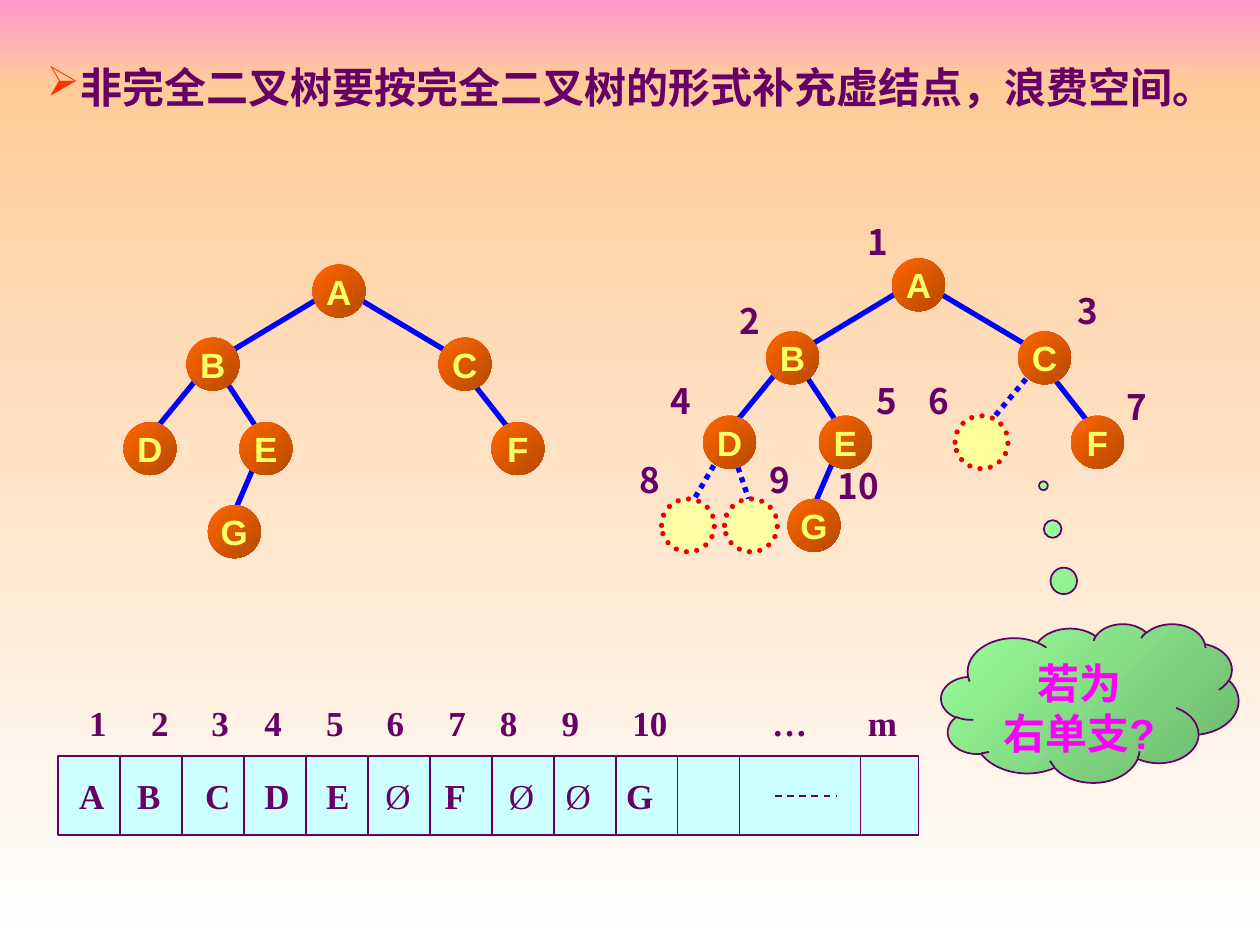
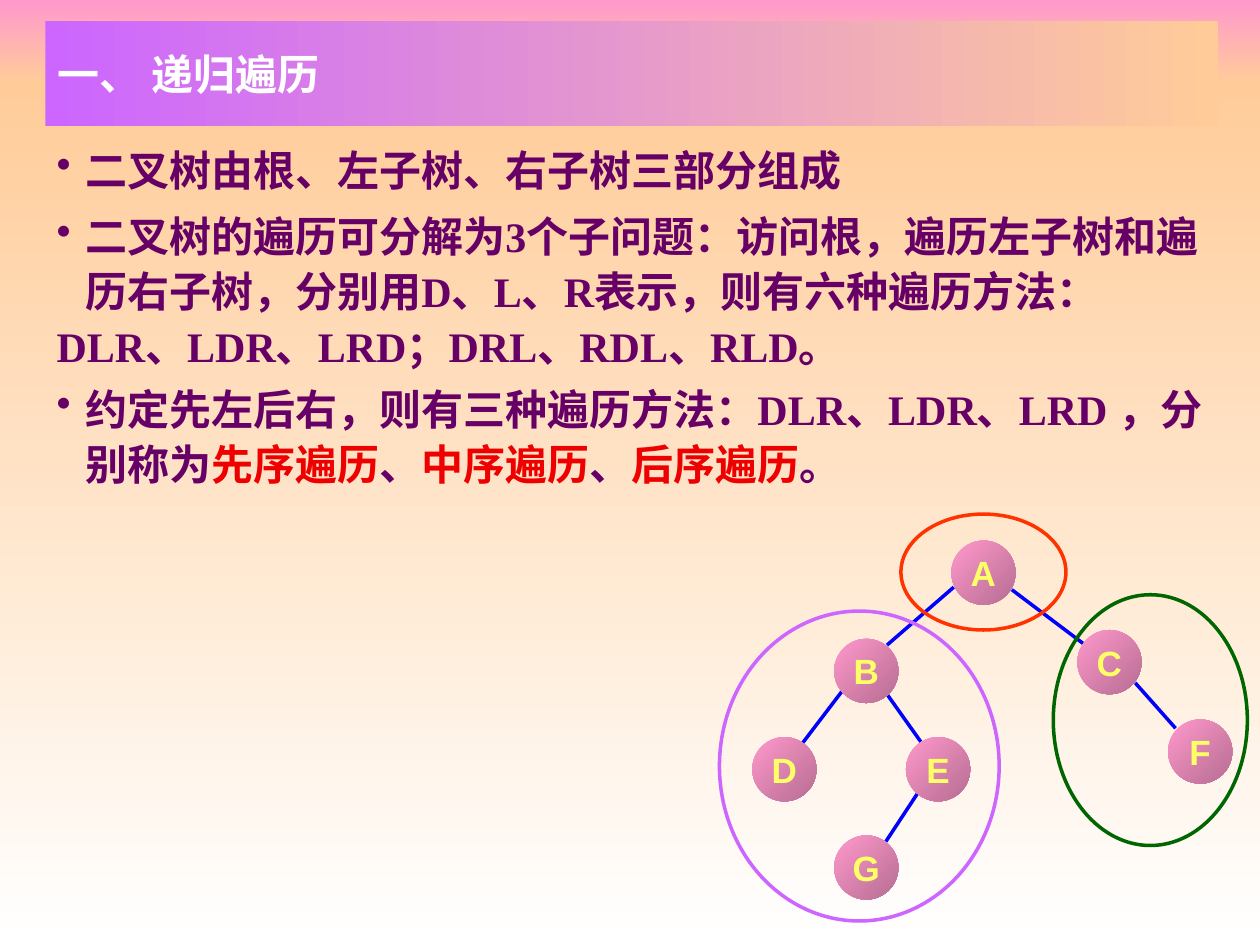
from lxml import etree
from pptx import Presentation
from pptx import util as u
from pptx.dml.color import RGBColor
from pptx.enum import dml, shapes, text as t
from pptx.oxml.ns import qn

PURPLE, RED, BLUE, YELLOW = "660066", "EE0000", "0000FF", "FFFF66"
PINK, PEACH, WHITE = "FF99CC", "FFCC99", "FFFFFF"
CJK_FONT, LATIN_FONT, SERIF_FONT = "Noto Sans CJK SC", "Arial", "Times New Roman"
OVAL, RECTANGLE = shapes.MSO_SHAPE.OVAL, shapes.MSO_SHAPE.RECTANGLE
DOTS, DASHES = dml.MSO_LINE.ROUND_DOT, dml.MSO_LINE.DASH
LEFT, CENTER = t.PP_ALIGN.LEFT, t.PP_ALIGN.CENTER
NODE_FONT = dict(size=20, colour=YELLOW, font=LATIN_FONT)
SERIF_SMALL = dict(size=20, font=SERIF_FONT, align=LEFT)


def paint(fill, *colours, angle=0):
    """Fill with one colour, or with a gradient of two at a clockwise angle."""
    if len(colours) == 1:
        fill.solid()
        fill.fore_color.rgb = RGBColor.from_string(colours[0])
        return
    fill.gradient()
    fill.gradient_angle = (360 - angle) % 360
    for stop, colour in zip(fill.gradient_stops, colours):
        stop.color.rgb = RGBColor.from_string(colour)


def write(shape, content, size=24, colour=PURPLE, font=CJK_FONT, align=CENTER,
          wrap=True, anchor=t.MSO_ANCHOR.MIDDLE, spacing=None):
    """Write bold paragraphs, one a line; "|" starts a new run."""
    frame = shape.text_frame
    frame.auto_size = t.MSO_AUTO_SIZE.NONE
    frame.word_wrap = wrap
    frame.vertical_anchor = anchor
    frame.text = content.replace("|", "")
    for paragraph, line in zip(frame.paragraphs, content.split("\n")):
        paragraph.alignment = align
        if spacing:
            paragraph.line_spacing = u.Pt(spacing)
        parts = line.split("|")
        paragraph.runs[0].text = parts[0]
        for part in parts[1:]:
            paragraph.add_run().text = part
        for run in paragraph.runs:
            run.font.size = u.Pt(size)
            run.font.bold = True
            run.font.name = font
            paint(run.font.fill, colour)
            east_asian = etree.SubElement(run._r.get_or_add_rPr(), qn("a:ea"))
            east_asian.set("typeface", CJK_FONT)


presentation = Presentation()
presentation.slide_width, presentation.slide_height = u.Inches(10), u.Inches(7.5)
title_only = presentation.slide_layouts[5]
storage_slide = presentation.slides.add_slide(title_only)
traversal_slide = presentation.slides.add_slide(title_only)

# Background bands, kept on the master
first_master_shape = presentation.slide_master.shapes[0]
for top, height, colours in [(0, 0.67, (PINK, PEACH)), (0.67, 6.83, (PEACH, WHITE))]:
    band = storage_slide.shapes.add_shape(
        RECTANGLE, 0, u.Inches(top), presentation.slide_width, u.Inches(height))
    band.shadow.inherit = False
    band.line.fill.background()
    paint(band.fill, *colours, angle=90)
    first_master_shape.element.addprevious(band.element)

# Titles
for slide, box, content, colour in [
    (storage_slide, (0.27, 0.44, 9.53, 0.5),
     "非完全二叉树要按完全二叉树的形式补充虚结点，浪费空间。", PURPLE),
    (traversal_slide, (0.36, 0.17, 9.31, 0.83), "一、 递归遍历", WHITE),
]:
    title = slide.shapes.title
    title.left, title.top, title.width, title.height = map(u.Inches, box)
    write(title, content, colour=colour, align=LEFT)
paint(traversal_slide.shapes.title.fill, "CC66FF", PEACH)
bullets = [(storage_slide.shapes.title.text_frame.paragraphs[0], "➢", "FF3300", 0.27)]

# Storage array
ARRAY_LEFT, ARRAY_TOP, ARRAY_BOTTOM, CELL = 0.46, 6, 6.63, 0.49182
array = storage_slide.shapes.add_shape(
    RECTANGLE, *map(u.Inches, (ARRAY_LEFT, ARRAY_TOP, 6.83, ARRAY_BOTTOM - ARRAY_TOP)))
array.shadow.inherit = False
paint(array.fill, "CCFFFF")
paint(array.line.fill, PURPLE)
array.line.width = u.Pt(1)

dividers = [ARRAY_LEFT + CELL * i for i in range(1, 12)] + [6.83]
lines = [(storage_slide, x, ARRAY_TOP, x, ARRAY_BOTTOM, PURPLE, 1, None) for x in dividers]
lines.append((storage_slide, 6.15, 6.32, 6.64, 6.32, PURPLE, 1, DASHES))

array_rows = [
    ((0.61, 5.52, 6.68, 0.43), "1\t2\t3\t4\t5\t6\t7\t8\t9\t10\t…\tm",
     (0.49, 0.97, 1.39, 1.88, 2.36, 2.85, 3.26, 3.75, 4.31, 5.42, 6.18)),
    ((0.53, 6.1, 6.78, 0.43), "A\tB\tC\tD\tE\t|Ø|\tF\t|Ø\tØ|\tG",
     (0.46, 1, 1.47, 1.96, 2.43, 2.9, 3.41, 3.86, 4.34)),
]
for box, content, tabs in array_rows:
    row = storage_slide.shapes.add_textbox(*map(u.Inches, box))
    write(row, content, **SERIF_SMALL)
    paragraph = row.text_frame.paragraphs[0]
    for run in paragraph.runs[1::2]:
        run.font.bold = False
    tab_list = etree.SubElement(paragraph._p.get_or_add_pPr(), qn("a:tabLst"))
    for position in tabs:
        etree.SubElement(tab_list, qn("a:tab"), pos=str(u.Inches(position)), algn="l")

# Trees: the left one on the storage slide is the right one, shifted
storage_nodes = {"A": (7.08, 2.05), "B": (6.08, 2.63), "C": (8.08, 2.63), "D": (5.58, 3.3),
                 "E": (6.5, 3.3), "F": (8.5, 3.3), "G": (6.25, 3.96)}
storage_edges = [(7.16, 2.3, 6.33, 2.8), (7.41, 2.3, 8.25, 2.8), (6.16, 2.96, 5.75, 3.46),
                 (6.33, 2.88, 6.66, 3.38), (8.33, 2.96, 8.66, 3.38), (6.66, 3.55, 6.41, 4.13)]
traversal_nodes = {"A": (7.55, 4.29), "B": (6.62, 5.07), "C": (8.55, 5), "D": (5.97, 5.85),
                   "E": (7.19, 5.85), "F": (9.27, 5.71), "G": (6.62, 6.63)}
traversal_edges = [(7.57, 4.66, 7.04, 5.12), (8.03, 4.68, 8.6, 5.11), (7.04, 5.51, 7.31, 5.89),
                   (7.28, 6.3, 7.03, 6.68), (6.68, 5.49, 6.36, 5.91), (9.01, 5.42, 9.33, 5.78)]
virtual_edges = [(8.25, 2.88, 7.83, 3.38), (5.83, 3.63, 6, 4.13), (5.75, 3.55, 5.41, 4.13)]
ORANGE_BALL, PINK_BALL = ("FF6600", "B64900"), (PINK, "B66D92")
trees = [
    (storage_slide, -4.6, 0.05, 0.42, ORANGE_BALL, 3, storage_nodes, storage_edges),
    (storage_slide, 0, 0, 0.42, ORANGE_BALL, 3, storage_nodes, storage_edges),
    (traversal_slide, 0, 0, 0.51, PINK_BALL, 2, traversal_nodes, traversal_edges),
]
for slide, dx, dy, _, _, width, _, edges in trees:
    lines += [(slide, x1 + dx, y1 + dy, x2 + dx, y2 + dy, BLUE, width, None)
              for x1, y1, x2, y2 in edges]
lines += [(storage_slide, *edge, BLUE, 3, DOTS) for edge in virtual_edges]

for slide, x1, y1, x2, y2, colour, width, dash in lines:
    connector = slide.shapes.add_connector(
        shapes.MSO_CONNECTOR.STRAIGHT, *map(u.Inches, (x1, y1, x2, y2)))
    paint(connector.line.fill, colour)
    connector.line.width = u.Pt(width)
    if dash:
        connector.line.dash_style = dash
    etree.SubElement(connector._element.spPr, qn("a:effectLst"))

for slide, dx, dy, size, colours, _, nodes, _ in trees:
    for letter, (x, y) in nodes.items():
        node = slide.shapes.add_shape(OVAL, *map(u.Inches, (x + dx, y + dy, size, size)))
        node.shadow.inherit = False
        node.line.fill.background()
        paint(node.fill, *colours, angle=45)
        write(node, letter, wrap=False, **NODE_FONT)

# Virtual nodes and the ovals round root and subtrees
rings = [
    (storage_slide, (5.25, 3.96, 0.42, 0.42), "FFFFA5", RED, 3, DOTS),
    (storage_slide, (5.75, 3.96, 0.42, 0.42), "FFFFA5", RED, 3, DOTS),
    (storage_slide, (7.58, 3.3, 0.42, 0.42), "FFFF99", RED, 3, DOTS),
    (traversal_slide, (5.71, 4.85, 2.22, 2.46), None, "CC66FF", 2, None),
    (traversal_slide, (8.36, 4.72, 1.54, 1.99), None, "006600", 2, None),
    (traversal_slide, (7.15, 4.08, 1.31, 0.92), None, "FF3300", 2, None),
]
for slide, box, fill_colour, line_colour, width, dash in rings:
    ring = slide.shapes.add_shape(OVAL, *map(u.Inches, box))
    ring.shadow.inherit = False
    if fill_colour:
        paint(ring.fill, fill_colour)
    else:
        ring.fill.background()
    paint(ring.line.fill, line_colour)
    ring.line.width = u.Pt(width)
    if dash:
        ring.line.dash_style = dash
        ring.line._get_or_add_ln().set("cap", "rnd")

# Node numbers
number_places = [(6.65, 1.7), (5.63, 2.33), (8.31, 2.25), (5.08, 2.96), (6.72, 2.96),
                 (7.13, 2.96), (8.7, 3.01), (4.84, 3.59), (5.87, 3.59), (6.49, 3.64)]
for number, (x, y) in enumerate(number_places, start=1):
    label = storage_slide.shapes.add_textbox(*map(u.Inches, (x, y, 0.64, 0.43)))
    write(label, str(number), size=20)

# Question cloud
cloud = storage_slide.shapes.add_shape(
    shapes.MSO_SHAPE.CLOUD_CALLOUT, *map(u.Inches, (7.47, 4.95, 2.36, 1.26)))
cloud.shadow.inherit = False
cloud.adjustments[0], cloud.adjustments[1] = -0.156, -1.369
paint(cloud.fill, "99FF99", "6DB66D", angle=45)
paint(cloud.line.fill, PURPLE)
cloud.line.width = u.Pt(1)
write(cloud, "若为\n右单支?", colour="FF00FF", font=LATIN_FONT,
      anchor=t.MSO_ANCHOR.TOP, spacing=28.6)
cloud.text_frame.margin_top = u.Inches(0.08)

# Traversal text
for box, spacing, content in [
    ((0.35, 0.98, 6.69, 0.62), 37, "二叉树由根、左子树、右子树三部分组成"),
    ((0.35, 1.59, 9.45, 1.42), 31.3,
     "二叉树的遍历可分解为3个子问题：访问根，遍历左子树和遍历右子树，"
     "分别用D、L、R表示，则有六种遍历方法：\nDLR、LDR、LRD；DRL、RDL、RLD。"),
    ((0.35, 2.96, 9.45, 0.98), 31.3,
     "约定先左后右，则有三种遍历方法：DLR、LDR、LRD ，分别称为"
     "|先序遍历|、|中序遍历|、|后序遍历|。"),
]:
    body = traversal_slide.shapes.add_textbox(*map(u.Inches, box))
    write(body, content, font=SERIF_FONT, align=LEFT,
          anchor=t.MSO_ANCHOR.TOP, spacing=spacing)
    first_paragraph = body.text_frame.paragraphs[0]
    for run in first_paragraph.runs[1::2]:
        paint(run.font.fill, RED)
    bullets.append((first_paragraph, "•", PURPLE, 0.23))

for paragraph, character, colour, indent in bullets:
    properties = paragraph._p.get_or_add_pPr()
    properties.set("marL", str(u.Inches(indent)))
    properties.set("indent", str(-u.Inches(indent)))
    bullet_colour = etree.SubElement(properties, qn("a:buClr"))
    etree.SubElement(bullet_colour, qn("a:srgbClr"), val=colour)
    etree.SubElement(properties, qn("a:buChar"), char=character)

presentation.save("out.pptx")
